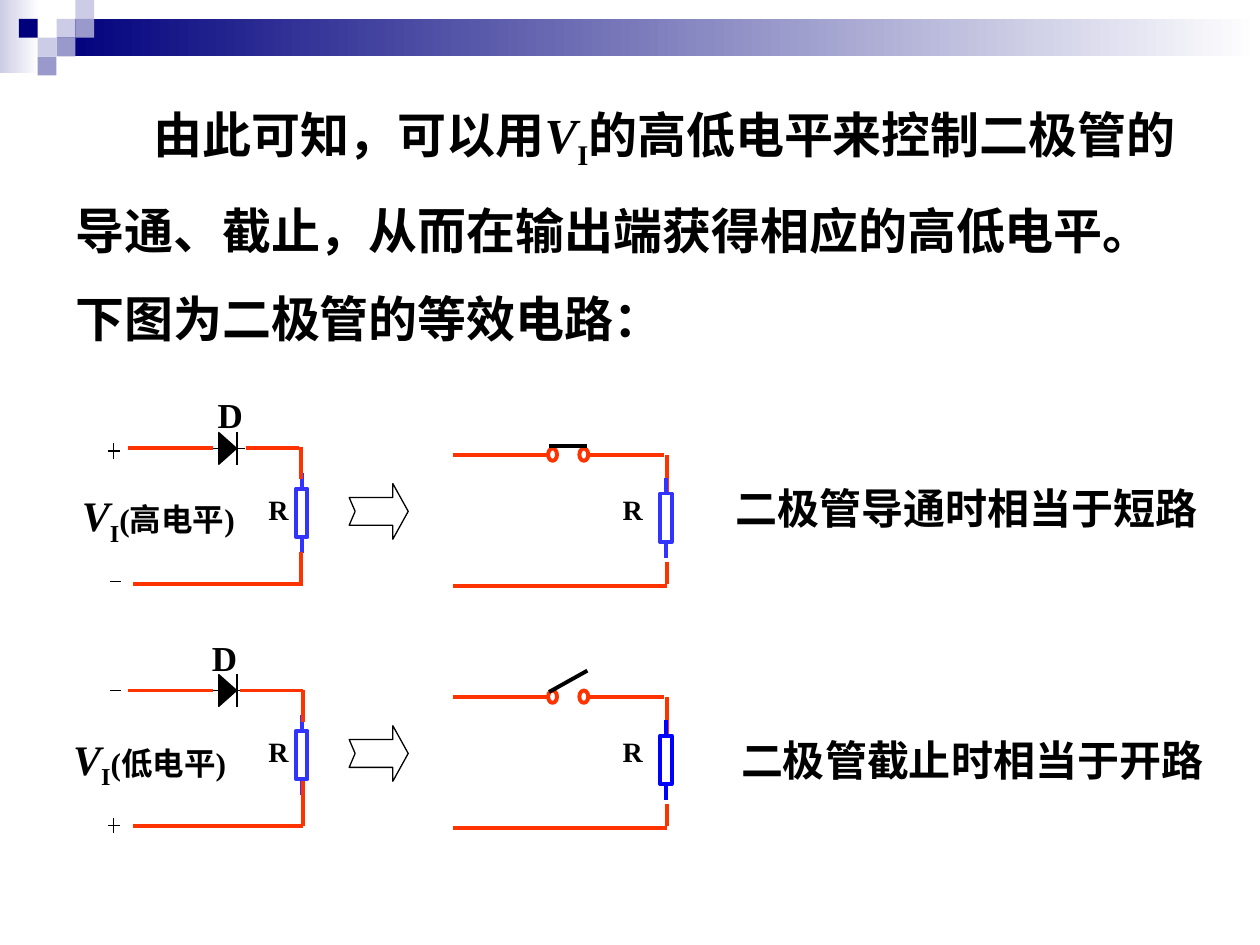
"""Build the slide on equivalent circuits of a diode that conducts or blocks."""
from dataclasses import dataclass
from lxml import etree
from pptx import Presentation, util as u
from pptx.dml.color import RGBColor
from pptx.enum import shapes as kinds, text as txt
from pptx.oxml import ns


@dataclass(frozen=True)
class Theme:
    navy: str = "00007D"
    mid: str = "9999CC"
    pale: str = "CCCCE6"
    white: str = "FFFFFF"
    ink: str = "000000"
    wire: str = "FF3300"
    blue: str = "3333FF"
    deep_blue: str = "0000FF"
    serif: str = "Times New Roman"
    sans: str = "Arial"
    body: int = 28
    caption: int = 24
    diode: int = 20
    level: int = 18
    resistor: int = 16
    thin: float = 0.75
    thick: float = 2.25


T = Theme()
INTRO = [("由此可知，可以用", T.body, ""), ("V", T.body, "italic"), ("I", T.body, "sub"),
         ("的高低电平来控制二极管的导通、截止，从而在输出端获得相应的高低电平。下图为二极管的等效电路：",
          T.body, "")]
BANDS = [((0, 0, 0.79, 1.47), T.pale), ((1.14, 0.38, 24.26, 0.76), T.navy)]
MOSAIC = [(3, 1, T.pale), (4, 0, T.pale), (4, 1, T.mid), (2, 2, T.pale),
          (1, 1, T.navy), (3, 2, T.mid), (2, 3, T.mid)]
TILE = 0.38
AXIS, PITCH = 9.04, 4.88
ARROW = [(7.04, 0.99), (7.92, 0.99), (7.92, 0.71), (8.23, 1.27),
         (7.92, 1.83), (7.92, 1.55), (7.04, 1.55), (7.16, 1.27)]
DIODE_LINES = [(4.42, 0, 4.22, 0), (4.78, 0, 4.93, 0), (4.78, -0.33, 4.78, 0.33)]
SHARED_WIRES = [(4.29, 0, 2.59, 0), (6.1, 2.74, 2.69, 2.74), (9.14, 0.13, 11.05, 0.13),
                (11.89, 0.13, 13.39, 0.13), (13.44, 0.13, 13.44, 1.02),
                (13.44, 2.29, 13.44, 2.74), (13.44, 2.77, 9.14, 2.77)]
CIRCUITS = [
    {"caption": "二极管导通时相当于短路", "caption_at": (14.4, 0.56, 10.16, 1.27),
     "level": "(高电平)", "level_at": (1.4, 0.71, 3.68, 2.18), "level_wraps": True,
     "diode_at": (4.06, -1.24, 1.17, 1.12), "plus": 0.05, "minus": 2.69,
     "switch": (11.07, -0.05, 11.84, -0.05), "load": T.blue,
     "wires": [(4.95, 0, 6.02, 0), (6.07, -0.03, 6.07, 0.61), (6.07, 2.72, 6.07, 2.08)]},
    {"caption": "二极管截止时相当于开路", "caption_at": (14.45, 0.76, 10.29, 1.27),
     "level": "(低电平)", "level_at": (1.07, 0.74, 3.89, 1.42), "level_wraps": False,
     "diode_at": (3.94, -1.22, 1.17, 1.12), "plus": 2.72, "minus": 0,
     "switch": (11.07, 0.03, 11.84, -0.4), "load": T.deep_blue,
     "wires": [(4.83, 0, 6.1, 0), (6.1, 0, 6.1, 0.64), (6.1, 1.83, 6.1, 2.74)]},
]

deck = Presentation()
deck.slide_width, deck.slide_height = u.Cm(25.4), u.Cm(19.05)
slide = deck.slides.add_slide(deck.slide_layouts[6])


def paint(shape, fill, line=None, width=T.thin):
    shape.shadow.inherit = False
    shape.fill.solid()
    shape.fill.fore_color.rgb = RGBColor.from_string(fill)
    if line:
        shape.line.color.rgb = RGBColor.from_string(line)
        shape.line.width = u.Pt(width)
    else:
        shape.line.fill.background()
    return shape


def block(kind, place, fill, line=None, width=T.thin):
    shape = slide.shapes.add_shape(kind, *map(u.Cm, place))
    return paint(shape, fill, line, width)


def stroke(ends, colour=T.ink, width=T.thin):
    line = slide.shapes.add_connector(kinds.MSO_CONNECTOR.STRAIGHT, *map(u.Cm, ends))
    line.line.color.rgb = RGBColor.from_string(colour)
    line.line.width = u.Pt(width)
    etree.SubElement(line._element.spPr, ns.qn("a:effectLst"))
    return line


def write(frame, pieces, font=T.serif, align=None, wrap=True):
    frame.word_wrap = wrap
    frame.vertical_anchor = txt.MSO_ANCHOR.TOP
    paragraph = frame.paragraphs[0]
    paragraph.alignment = align
    for words, size, style in pieces:
        run = paragraph.add_run()
        run.text = words
        run.font.name, run.font.size, run.font.bold = font, u.Pt(size), True
        run.font.italic = style == "italic"
        run.font.color.rgb = RGBColor.from_string(T.ink)
        if style == "sub":
            run._r.get_or_add_rPr().set("baseline", "-25000")
    return paragraph


def label(place, pieces, **options):
    box = slide.shapes.add_textbox(*map(u.Cm, place))
    return write(box.text_frame, pieces, **options)


def resistor(left, top, label_left, axis, colour):
    width, height, lead = 0.23, 0.98, 0.32
    centre, bottom = left + width / 2, top + height
    body = block(kinds.MSO_SHAPE.RECTANGLE, (left, top, width, height), T.white, colour, T.thick)
    for site, start, end in ((2, bottom, bottom + lead), (0, top, top - lead)):
        stroke((centre, start, centre, end), colour, T.thick).begin_connect(body, site)
    name = block(kinds.MSO_SHAPE.RECTANGLE, (label_left, axis + 0.89, 0.48, 1.04), T.white)
    frame = name.text_frame
    frame.margin_left = frame.margin_right = frame.margin_top = frame.margin_bottom = 0
    write(frame, [("R", T.resistor, "")], align=txt.PP_ALIGN.JUSTIFY)


def circuit(part, axis):
    def shifted(ends):
        x1, y1, x2, y2 = ends
        return x1, axis + y1, x2, axis + y2

    def placed(place):
        left, top, width, height = place
        return left, axis + top, width, height

    triangle = block(kinds.MSO_SHAPE.ISOSCELES_TRIANGLE, placed((4.27, -0.18, 0.64, 0.36)),
                     T.ink, T.ink)
    triangle.rotation = 90
    plus, minus = part["plus"], part["minus"]
    signs = [(2.18, plus, 2.41, plus), (2.29, plus - 0.15, 2.29, plus + 0.16),
             (2.21, minus, 2.44, minus)]
    for ends in DIODE_LINES + signs:
        stroke(shifted(ends))
    resistor(5.97, axis + 0.81, 5.41, axis, T.blue)
    corners = [(u.Cm(x), u.Cm(axis + y)) for x, y in ARROW]
    outline = slide.shapes.build_freeform(*corners[0])
    outline.add_line_segments(corners[1:], close=True)
    paint(outline.convert_to_shape(), T.white, T.ink)
    for ends in SHARED_WIRES + part["wires"]:
        stroke(shifted(ends), T.wire, T.thick)
    for left in (11.05, 11.68):
        block(kinds.MSO_SHAPE.OVAL, placed((left, 0, 0.18, 0.25)), T.white, T.wire, T.thick)
    resistor(13.31, axis + 0.91, 12.55, axis, part["load"])
    stroke(shifted(part["switch"]), T.ink, T.thick)
    centre = txt.PP_ALIGN.CENTER
    label(placed(part["caption_at"]), [(part["caption"], T.caption, "")],
          font=T.sans, align=centre)
    label(placed(part["diode_at"]), [("D", T.diode, "")], align=centre)
    voltage = [("V", T.caption, "italic"), ("I", T.caption, "sub"), (part["level"], T.level, "")]
    wraps = part["level_wraps"]
    label(placed(part["level_at"]), voltage, align=None if wraps else centre, wrap=wraps)


for place, colour in BANDS:
    band = block(kinds.MSO_SHAPE.RECTANGLE, place, T.white)
    band.fill.gradient()
    band.fill.gradient_angle = 0
    for stop, shade in zip(band.fill.gradient_stops, (colour, T.white)):
        stop.color.rgb = RGBColor.from_string(shade)
for column, row, colour in MOSAIC:
    block(kinds.MSO_SHAPE.RECTANGLE, (column * TILE, row * TILE, TILE, TILE), colour)

intro = label((1.27, 1.3, 23.06, 5.84), INTRO)
intro.line_spacing = 1.5
intro._p.get_or_add_pPr().set("indent", str(u.Cm(1.57)))

for row, part in enumerate(CIRCUITS):
    circuit(part, AXIS + row * PITCH)

deck.save("out.pptx")
